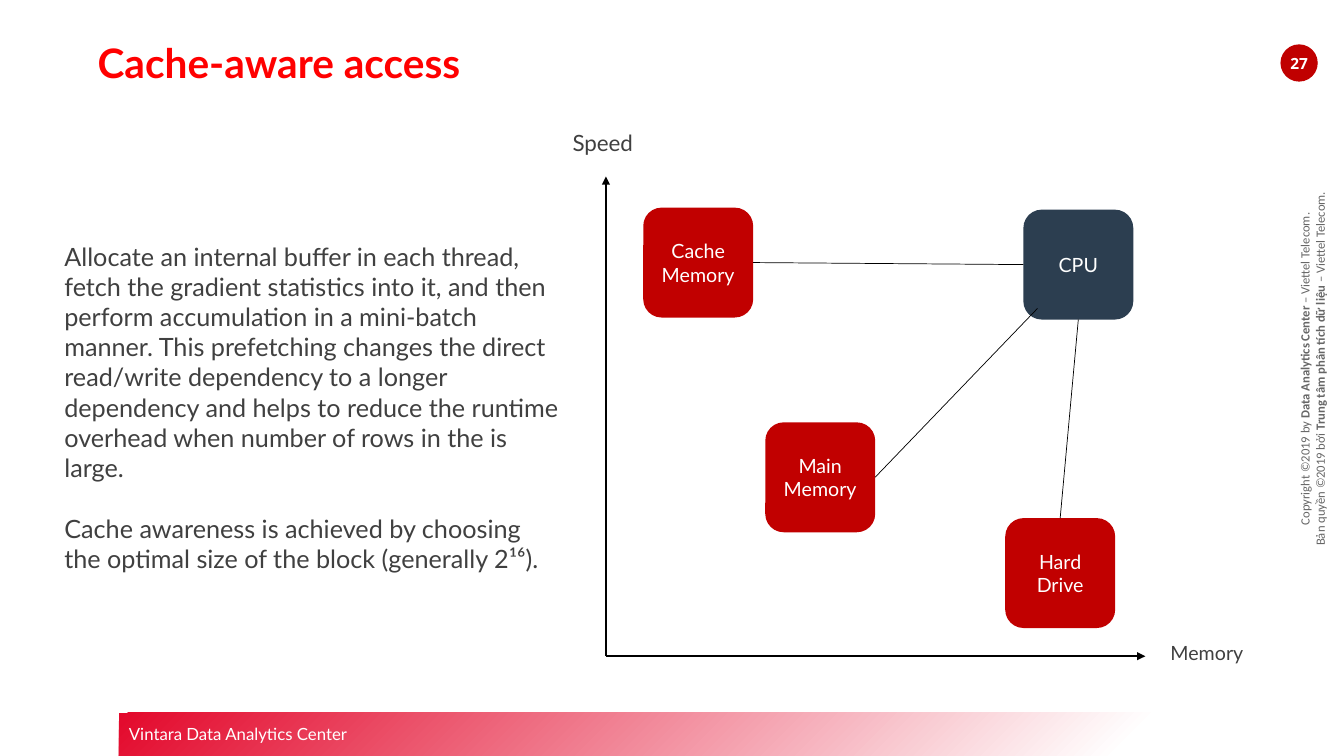
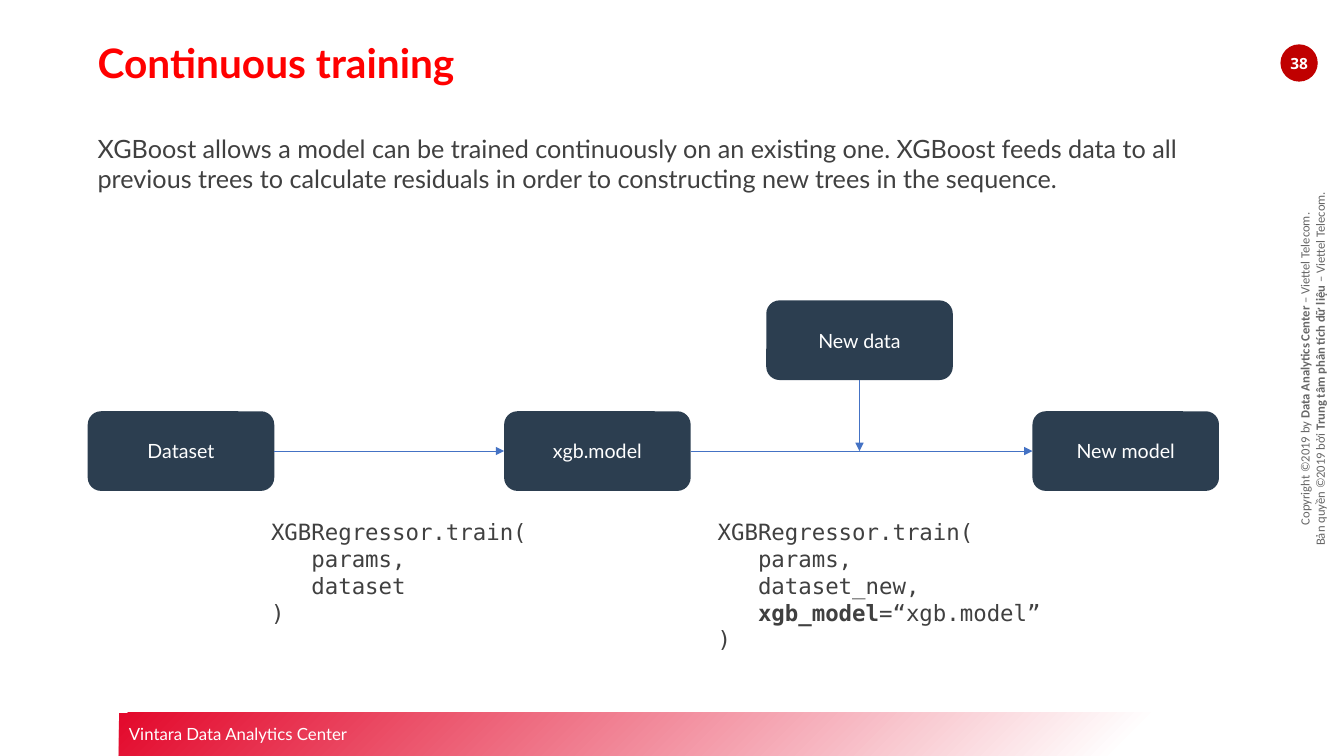
"""Build two slides on gradient boosting: cache-aware access and continuous training."""
from dataclasses import dataclass

from lxml import etree
from pptx import Presentation
from pptx.dml.color import RGBColor
from pptx.enum.shapes import MSO_CONNECTOR, MSO_SHAPE
from pptx.enum.text import MSO_ANCHOR, PP_ALIGN
from pptx.oxml import parse_xml
from pptx.oxml.ns import nsdecls, qn
from pptx.util import Inches, Pt

STRAIGHT = MSO_CONNECTOR.STRAIGHT
RECT, ROUND, OVAL = MSO_SHAPE.RECTANGLE, MSO_SHAPE.ROUNDED_RECTANGLE, MSO_SHAPE.OVAL
MIDDLE, TOP = MSO_ANCHOR.MIDDLE, MSO_ANCHOR.TOP
LEFT, CENTER = PP_ALIGN.LEFT, PP_ALIGN.CENTER
TOP_SIDE, LEFT_SIDE, BOTTOM_SIDE, RIGHT_SIDE = range(4)


@dataclass(frozen=True)
class Theme:
    """Colours, fonts and type sizes of the deck."""
    title: str = "FF0000"
    badge: str = "C00000"
    memory: str = "C10000"
    navy: str = "2C3E50"
    band: str = "E3092C"
    flow: str = "4472C4"
    text: str = "404040"
    muted: str = "666666"
    black: str = "000000"
    white: str = "FFFFFF"
    font: str = "Lato"
    code_font: str = "DejaVu Sans Mono"
    note_font: str = "Calibri"
    badge_font: str = "Open Sans"
    title_size: int = 29
    body_size: int = 18
    label_size: int = 16
    node_size: int = 14
    footer_size: int = 12
    badge_size: int = 11
    note_size: int = 9


T = Theme()


def write(tf, paragraphs, size, color, font=T.font, bold=None, align=LEFT, gap=0):
    """Write paragraphs, each a string or a list of (text, bold) runs."""
    for i, runs in enumerate(paragraphs):
        p = tf.paragraphs[0] if i == 0 else tf.add_paragraph()
        p.alignment = align
        if i and gap:
            p.space_before = Pt(gap)
        p.font.size, p.font.name, p.font.bold = Pt(size), font, bold
        p.font.color.rgb = RGBColor.from_string(color)
        for text, strong in [(runs, None)] if isinstance(runs, str) else runs:
            r = p.add_run()
            r.text = text
            if strong:
                r.font.bold = True


def add_text(s, box, paragraphs, size, color=T.text, **style):
    """Add a wrapping text box."""
    sp = s.shapes.add_textbox(*map(Inches, box))
    sp.text_frame.word_wrap = True
    sp.text_frame.vertical_anchor = TOP
    write(sp.text_frame, paragraphs, size, color, **style)
    return sp


def add_box(s, kind, box, fill):
    """Add a flat filled shape without outline."""
    sp = s.shapes.add_shape(kind, *map(Inches, box))
    sp.shadow.inherit = False
    sp.fill.solid()
    sp.fill.fore_color.rgb = RGBColor.from_string(fill)
    sp.line.fill.background()
    sp.text_frame.vertical_anchor = MIDDLE
    return sp


def add_node(s, box, label, fill):
    """Add a rounded box with a centred label."""
    sp = add_box(s, ROUND, box, fill)
    sp.text_frame.word_wrap = True
    write(sp.text_frame, [label], T.node_size, T.white, align=CENTER)
    return sp


def add_line(s, start, end, color, width=0.5, arrow=False):
    """Draw a line; each end is a point or a (shape, side) pair to join."""
    joins = [e if hasattr(e[0], "shape_id") else None for e in (start, end)]
    points = [(0, 0) if j else tuple(map(Inches, e)) for j, e in zip(joins, (start, end))]
    ln = s.shapes.add_connector(STRAIGHT, *points[0], *points[1])
    if joins[0]:
        ln.begin_connect(*joins[0])
    if joins[1]:
        ln.end_connect(*joins[1])
    ln.line.color.rgb = RGBColor.from_string(color)
    ln.line.width = Pt(width)
    if arrow:
        etree.SubElement(ln.line._get_or_add_ln(), qn("a:tailEnd"), type="triangle")
    etree.SubElement(ln._element.spPr, qn("a:effectLst"))


def add_footer(s, x, y, w, h):
    """Add the band that fades from red to white."""
    sp = add_box(s, RECT, (x, y, w, h), T.band)
    stops = "".join(f'<a:gs pos="{pos}000"><a:srgbClr val="{color}"/></a:gs>'
                    for pos, color in ((0, T.white), (18, T.white), (100, T.band)))
    grad = parse_xml(f'<a:gradFill {nsdecls("a")} rotWithShape="1"><a:gsLst>{stops}</a:gsLst>'
                     '<a:path path="circle"><a:fillToRect l="100000" t="100000"/></a:path>'
                     '</a:gradFill>')
    solid = sp._element.spPr.find(qn("a:solidFill"))
    solid.getparent().replace(solid, grad)
    write(sp.text_frame, ["Vintara Data Analytics Center"], T.footer_size, T.white)


def add_badge(s, x, y, d, number):
    """Add the round page number."""
    tf = add_box(s, OVAL, (x, y, d, d), T.badge).text_frame
    tf.margin_left = tf.margin_right = tf.margin_top = tf.margin_bottom = 0
    tf.word_wrap = False
    write(tf, [number], T.badge_size, T.white, font=T.badge_font, bold=True, align=CENTER)


def add_slide(prs, title, number):
    """Add a slide with the shared title, badge, copyright and footer."""
    s = prs.slides.add_slide(prs.slide_layouts[6])
    add_footer(s, 1.18, 7.07, 12.15, 0.43)
    notice = [
        [("Copyright ©2019 by ", False), ("Data Analytics Center", True),
         (" – Viettel Telecom.", False)],
        [("Bản quyền ©2019 bởi ", False), ("Trung tâm phân tích dữ liệu ", True),
         ("– Viettel Telecom.", False)],
    ]
    sp = add_text(s, (10.71, 3.46, 4.61, 0.4), notice, T.note_size, T.muted,
                  font=T.note_font, align=CENTER)
    sp.rotation = 270
    add_badge(s, 12.7, 0.44, 0.37, number)
    sp = add_text(s, (0.87, 0.35, 10.47, 0.56), [title], T.title_size, T.title, bold=True)
    sp.text_frame.paragraphs[0].line_spacing = Pt(33)
    return s


def add_memory_chart(s, x, y):
    """Draw the speed and memory axes with the storage levels and the CPU."""
    origin = (x + 0.43, y + 5.28)
    for tip in ((x + 5.78, origin[1]), (origin[0], y + 0.52)):
        add_line(s, origin, tip, T.black, 1.5, arrow=True)
    add_text(s, (x + 5.93, y + 5.08, 1.25, 0.34), ["Memory"], T.node_size)
    add_text(s, (x, y, 1.25, 0.37), ["Speed"], T.label_size)
    side = 1.09
    cache, main_memory, drive, cpu = [
        add_node(s, (x + dx, y + dy, side, side), label, fill)
        for dx, dy, label, fill in (
            (0.8, 0.83, "Cache Memory", T.memory),
            (2.01, 2.96, "Main Memory", T.memory),
            (4.39, 3.91, "Hard Drive", T.memory),
            (4.57, 0.85, "CPU", T.navy))]
    add_line(s, (cpu, LEFT_SIDE), (cache, RIGHT_SIDE), T.black)
    add_line(s, (x + 4.71, y + 1.83), (main_memory, RIGHT_SIDE), T.black)
    add_line(s, (cpu, BOTTOM_SIDE), (drive, TOP_SIDE), T.black)


def add_training_flow(s, x, y):
    """Draw the training chain with new data joining it."""
    w, h, row = 1.85, 0.79, 1.1
    dataset, model, new_model, new_data = [
        add_node(s, (x + dx, y + dy, w, h), label, T.navy)
        for dx, dy, label in (
            (0, row, "Dataset"), (4.13, row, "xgb.model"),
            (9.37, row, "New model"), (6.73, 0, "New data"))]
    add_line(s, (dataset, RIGHT_SIDE), (model, LEFT_SIDE), T.flow, arrow=True)
    add_line(s, (model, RIGHT_SIDE), (new_model, LEFT_SIDE), T.flow, arrow=True)
    add_line(s, (new_data, BOTTOM_SIDE), (x + 6.73 + w / 2, y + row + h / 2),
             T.flow, arrow=True)


def add_code(s, box, lines):
    """Add a code listing."""
    add_text(s, box, lines, T.label_size, font=T.code_font)


def cache_slide(prs):
    """Build the slide on cache-aware access."""
    s = add_slide(prs, "Cache-aware access", "27")
    add_memory_chart(s, 5.58, 1.23)
    add_text(s, (0.54, 2.34, 5.1, 3.43), [
        "Allocate an internal buffer in each thread, fetch the gradient statistics into it, "
        "and then perform accumulation in a mini-batch manner. This prefetching changes the "
        "direct read/write dependency to a longer dependency and helps to reduce the runtime "
        "overhead when number of rows in the is large.",
        "Cache awareness is achieved by choosing the optimal size of the block "
        "(generally 2¹⁶).",
    ], T.body_size, gap=21.6)


def training_slide(prs):
    """Build the slide on continuous training."""
    s = add_slide(prs, "Continuous training", "38")
    add_text(s, (0.87, 1.27, 11.38, 0.71), [
        "XGBoost allows a model can be trained continuously on an existing one. XGBoost feeds "
        "data to all previous trees to calculate residuals in order to constructing new trees "
        "in the sequence."], T.body_size)
    add_training_flow(s, 0.87, 2.98)
    call = ["XGBRegressor.train(", "   params,"]
    add_code(s, (2.59, 5.09, 2.75, 1.18), call + ["   dataset", ")"])
    add_code(s, (7.02, 5.09, 3.76, 1.45), call + [
        "   dataset_new,", [("   xgb_model", True), ("=“xgb.model”", False)], ")"])


def main():
    """Build and save the deck."""
    prs = Presentation()
    prs.slide_width, prs.slide_height = Inches(13.33), Inches(7.5)
    cache_slide(prs)
    training_slide(prs)
    prs.save("out.pptx")


if __name__ == "__main__":
    main()
